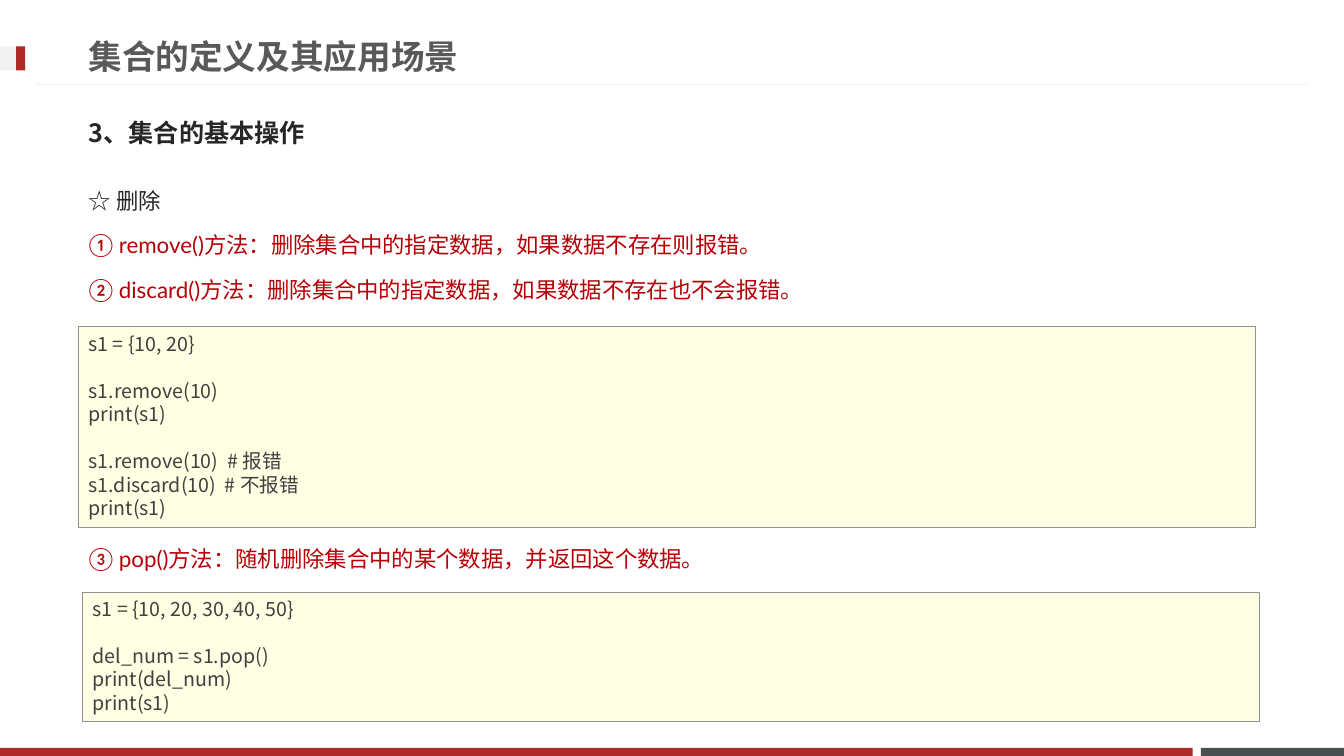
from lxml import etree
from pptx import Presentation
from pptx.dml.color import RGBColor
from pptx.enum.shapes import MSO_CONNECTOR, MSO_SHAPE
from pptx.enum.text import MSO_ANCHOR, PP_ALIGN
from pptx.oxml.ns import qn
from pptx.util import Inches, Pt

RECT = MSO_SHAPE.RECTANGLE
LINE = MSO_CONNECTOR.STRAIGHT
TOP, MIDDLE = MSO_ANCHOR.TOP, MSO_ANCHOR.MIDDLE
LEFT = PP_ALIGN.LEFT

COLORS = {
    "red": "AD2B26", "slate": "49504F", "pale": "F2F2F2", "title": "595959",
    "dark": "262626", "point": "B60206", "code": "404040",
    "cream": "FFFFE4", "edge": "919191",
}
LATO, NOTO = "Lato", "Noto Sans CJK JP"
CODE_STEP = Pt(16.8)

REMOVE_CODE = """s1 = {10, 20}

s1.remove(10)
print(s1)

s1.remove(10)  # 报错
s1.discard(10)  # 不报错
print(s1)"""

POP_CODE = """s1 = {10, 20, 30, 40, 50}

del_num = s1.pop()
print(del_num)
print(s1)"""


def color(name):
    """Return the named colour."""
    return RGBColor.from_string(COLORS[name])


def add_bar(slide, box, fill):
    """Add a flat rectangle without an outline."""
    bar = slide.shapes.add_shape(RECT, *map(Inches, box))
    bar.shadow.inherit = False
    bar.fill.solid()
    bar.fill.fore_color.rgb = color(fill)
    bar.line.fill.background()
    return bar


def style(para, text, size, tint, face, bold=False):
    """Fill a paragraph and set its font for Latin and Chinese text."""
    para.text = text
    para.alignment = LEFT
    font = para.font
    font.size, font.bold, font.name = Pt(size), bold, face
    font.color.rgb = color(tint)
    for run in para.runs:
        props = run.font
        props.name = face
        east = etree.SubElement(run._r.get_or_add_rPr(), qn("a:ea"))
        east.set("typeface", face)


def add_text(slide, box, anchor):
    """Add a wrapping text box and return its frame."""
    frame = slide.shapes.add_textbox(*map(Inches, box)).text_frame
    frame.word_wrap = True
    frame.vertical_anchor = anchor
    return frame


def add_heading(slide, box, text, size, tint, face):
    """Add a bold one-line heading centred in the height of its box."""
    frame = add_text(slide, box, MIDDLE)
    style(frame.paragraphs[0], text, size, tint, face, True)


def add_points(slide, box, points):
    """Add a list of (text, colour) lines at an even step."""
    frame = add_text(slide, box, TOP)
    for i, (text, tint) in enumerate(points):
        para = frame.add_paragraph() if i else frame.paragraphs[0]
        style(para, text, 16, tint, LATO)
        para.line_spacing = Pt(28.8)
        para.space_before = Pt(3.2 if i else 0)


def add_code(slide, box, code):
    """Add a cream code panel, with a line of space between its parts."""
    panel = add_bar(slide, box, "cream")
    panel.line.color.rgb = color("edge")
    panel.line.width = Pt(0.25)
    frame = panel.text_frame
    frame.word_wrap = True
    frame.vertical_anchor = TOP
    para = None
    for part in code.split("\n\n"):
        for row, text in enumerate(part.split("\n")):
            gap = para is not None and row == 0
            para = frame.add_paragraph() if para else frame.paragraphs[0]
            style(para, text, 14, "code", NOTO)
            para.line_spacing = CODE_STEP
            para.space_before = CODE_STEP if gap else 0


def add_frame(slide, width, height):
    """Add the footer bars, the header rule and the header mark."""
    thick, split = 0.08, 11.91
    top = height - thick
    add_bar(slide, (split, top, width - split, thick), "slate")
    add_bar(slide, (0, top, split - thick, thick), "red")
    rule = slide.shapes.add_connector(
        LINE, *map(Inches, (12.98, 0.84, 0.35, 0.84)))
    rule.line.color.rgb = color("pale")
    rule.line.width = Pt(0.75)
    etree.SubElement(rule._element.spPr, qn("a:effectLst"))
    add_bar(slide, (0, 0.46, 0.25, 0.24), "pale")
    add_bar(slide, (0.16, 0.46, 0.09, 0.24), "red")


def main():
    """Build the slide and save it."""
    deck = Presentation()
    width, height = 13.33, 7.5
    deck.slide_width, deck.slide_height = Inches(width), Inches(height)
    slide = deck.slides.add_slide(deck.slide_layouts[6])
    left, wide = 0.78, 11.76
    add_frame(slide, width, height)
    add_heading(slide, (left, 0.27, 9.59, 0.57),
                "集合的定义及其应用场景", 24, "title", LATO)
    add_heading(slide, (left, 1.03, wide, 0.57),
                "3、集合的基本操作", 18, "dark", NOTO)
    add_points(slide, (left, 1.67, wide, 1.5), [
        ("☆ 删除", "dark"),
        ("① remove()方法：删除集合中的指定数据，如果数据不存在则报错。", "point"),
        ("② discard()方法：删除集合中的指定数据，如果数据不存在也不会报错。", "point"),
    ])
    add_code(slide, (left, 3.24, 11.67, 1.99), REMOVE_CODE)
    add_points(slide, (left, 5.23, wide, 0.55), [
        ("③ pop()方法：随机删除集合中的某个数据，并返回这个数据。", "point"),
    ])
    add_code(slide, (0.82, 5.87, 11.67, 1.28), POP_CODE)
    deck.save("out.pptx")


if __name__ == "__main__":
    main()
